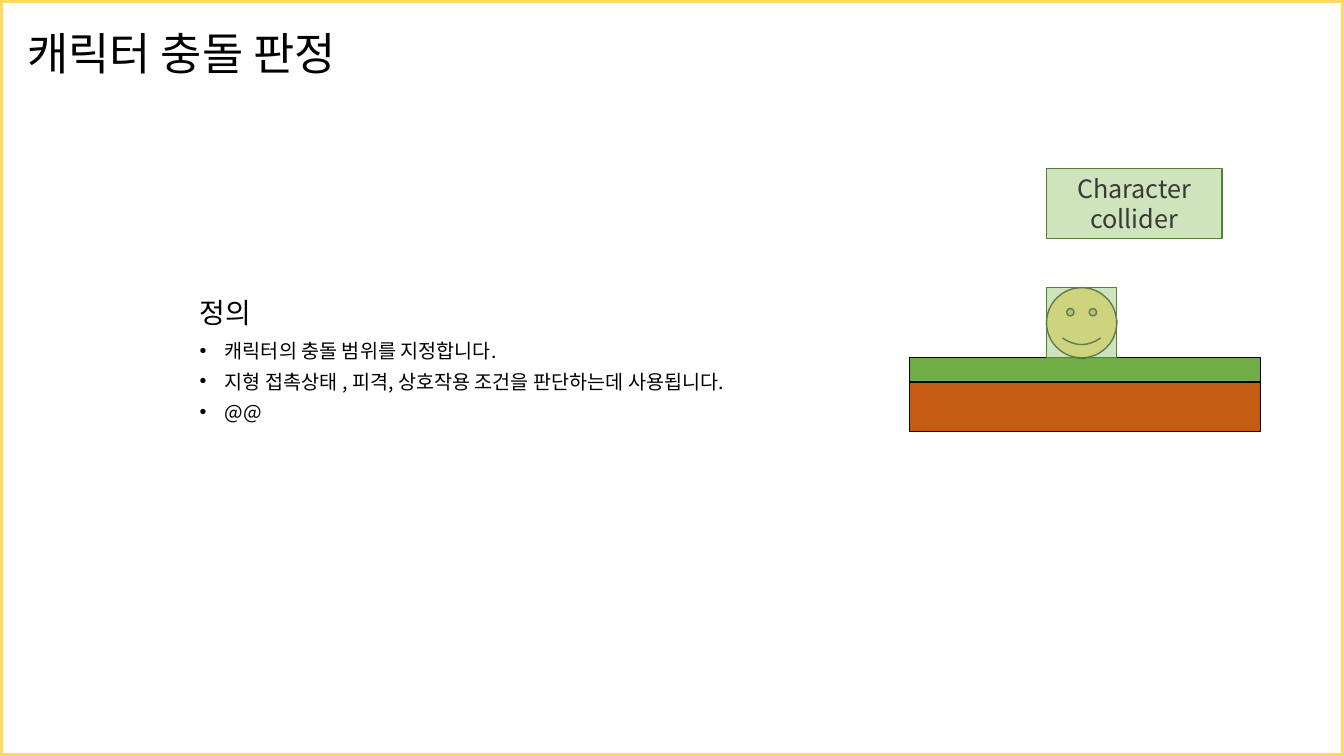
import pptx
import pptx.dml.color
import pptx.enum.shapes
import pptx.enum.text
import pptx.oxml
import pptx.oxml.ns
import pptx.util
from dataclasses import dataclass

SHAPE = pptx.enum.shapes.MSO_SHAPE
ALIGN = pptx.enum.text.PP_ALIGN
ANCHOR = pptx.enum.text.MSO_ANCHOR
WIDTH, HEIGHT = 13.33, 7.5


@dataclass(frozen=True)
class Theme:
    font: str = "Noto Sans CJK KR"
    ink: str = "000000"
    label_ink: str = "3B3838"
    yellow: str = "FFD966"
    grass: str = "70AD47"
    soil: str = "C55A11"
    collider: str = "A9D18E"
    collider_edge: str = "548235"
    collider_opacity: int = 58
    title_size: int = 32
    heading_size: int = 20
    label_size: int = 18
    list_size: int = 14
    frame_width: float = 4.5
    line_width: float = 1


THEME = Theme()


def color(value):
    return pptx.dml.color.RGBColor.from_string(value)


def add_xml(parent, tag, **attributes):
    child = pptx.oxml.ns.qn(tag)
    element = parent.makeelement(child, attributes)
    parent.append(element)
    return element


def place(item, box):
    sides = ("left", "top", "width", "height")
    for side, length in zip(sides, box):
        setattr(item, side, pptx.util.Inches(length))


def write(item, lines, size, ink=THEME.ink, anchor=ANCHOR.TOP, bullet=None, **para_format):
    frame = item.text_frame
    frame_format = {
        "text": "\n".join(lines),
        "word_wrap": True,
        "auto_size": pptx.enum.text.MSO_AUTO_SIZE.NONE,
        "vertical_anchor": anchor,
    }
    for name, value in frame_format.items():
        setattr(frame, name, value)
    for para in frame.paragraphs:
        for name, value in para_format.items():
            setattr(para, name, value)
        properties = para._p.get_or_add_pPr()
        indent = pptx.util.Inches(0.25) if bullet else 0
        properties.set("marL", str(indent))
        properties.set("indent", str(-indent))
        if bullet:
            add_xml(properties, "a:buFont", typeface="Arial")
            add_xml(properties, "a:buChar", char=bullet)
        else:
            add_xml(properties, "a:buNone")
        for span in para.runs:
            span_format = {"name": THEME.font, "size": pptx.util.Pt(size), "bold": False}
            for name, value in span_format.items():
                setattr(span.font, name, value)
            span.font.color.rgb = color(ink)
            add_xml(span._r.get_or_add_rPr(), "a:ea", typeface=THEME.font)


def draw(shapes, kind, box, fill=None, line=THEME.ink, width=THEME.line_width, opacity=None):
    shape = shapes.add_shape(kind, *map(pptx.util.Inches, box))
    shape.shadow.inherit = False
    shape.line.color.rgb = color(line)
    shape.line.width = pptx.util.Pt(width)
    if fill is None:
        shape.fill.background()
        return shape
    shape.fill.solid()
    shape.fill.fore_color.rgb = color(fill)
    if opacity:
        tint = shape._element.spPr.find(".//" + pptx.oxml.ns.qn("a:srgbClr"))
        add_xml(tint, "a:alpha", val=str(opacity * 1000))
    return shape


def draw_collider(page, box):
    return draw(page.shapes, SHAPE.RECTANGLE, box, THEME.collider,
                THEME.collider_edge, opacity=THEME.collider_opacity)


def fill_title(page, box):
    place(page.shapes.title, box)
    write(page.shapes.title, ["캐릭터 충돌 판정"], THEME.title_size,
          anchor=ANCHOR.MIDDLE, alignment=ALIGN.LEFT, line_spacing=0.9)


def fill_definition(page, box):
    """Put the heading over its bullet list."""
    left, top, width, height = box
    heading_height, list_top = 0.43, 0.46
    heading, points = page.placeholders[2], page.placeholders[1]
    spacing = {"alignment": ALIGN.LEFT, "space_before": pptx.util.Pt(10)}
    place(heading, (left, top, 2.03, heading_height))
    write(heading, ["정의"], THEME.heading_size, line_spacing=0.9, **spacing)
    place(points, (left, top + list_top, width, height - list_top))
    write(points, [
        "캐릭터의 충돌 범위를 지정합니다.",
        "지형 접촉상태 , 피격, 상호작용 조건을 판단하는데 사용됩니다.",
        "@@",
    ], THEME.list_size, bullet="•", line_spacing=0.7, **spacing)


def draw_scene(page, box):
    """Stand the character on the ground, with the collider label above."""
    left, top, width, height = box
    unit = width / 5
    grass_height, soil_height = 0.24, 0.49
    soil_top = top + height - soil_height
    grass_top = soil_top - grass_height
    character_left = left + 1.36
    ground = page.shapes.add_group_shape()
    draw(ground.shapes, SHAPE.RECTANGLE, (left, grass_top, width, grass_height), THEME.grass)
    draw(ground.shapes, SHAPE.RECTANGLE, (left, soil_top, width, soil_height), THEME.soil)
    character = (character_left, grass_top - unit, unit, unit)
    draw(page.shapes, SHAPE.SMILEY_FACE, character, THEME.yellow)
    draw_collider(page, character)
    label = draw_collider(page, (character_left, top, width / 2, unit))
    write(label, ["Character", "collider"], THEME.label_size, THEME.label_ink,
          ANCHOR.MIDDLE, alignment=ALIGN.CENTER)


def build_collision_page(deck):
    page = deck.slides.add_slide(deck.slide_layouts.get_by_name("Content with Caption"))
    fill_title(page, (0.17, 0.15, 3.74, 0.81))
    fill_definition(page, (1.88, 2.92, 7.5, 1.37))
    draw(page.shapes, SHAPE.RECTANGLE, (0, 0, WIDTH, HEIGHT),
         line=THEME.yellow, width=THEME.frame_width)
    draw_scene(page, (9.02, 1.67, 3.48, 2.61))


def main():
    deck = pptx.Presentation()
    deck.slide_width = pptx.util.Inches(WIDTH)
    deck.slide_height = pptx.util.Inches(HEIGHT)
    build_collision_page(deck)
    deck.save("out.pptx")


if __name__ == "__main__":
    main()
